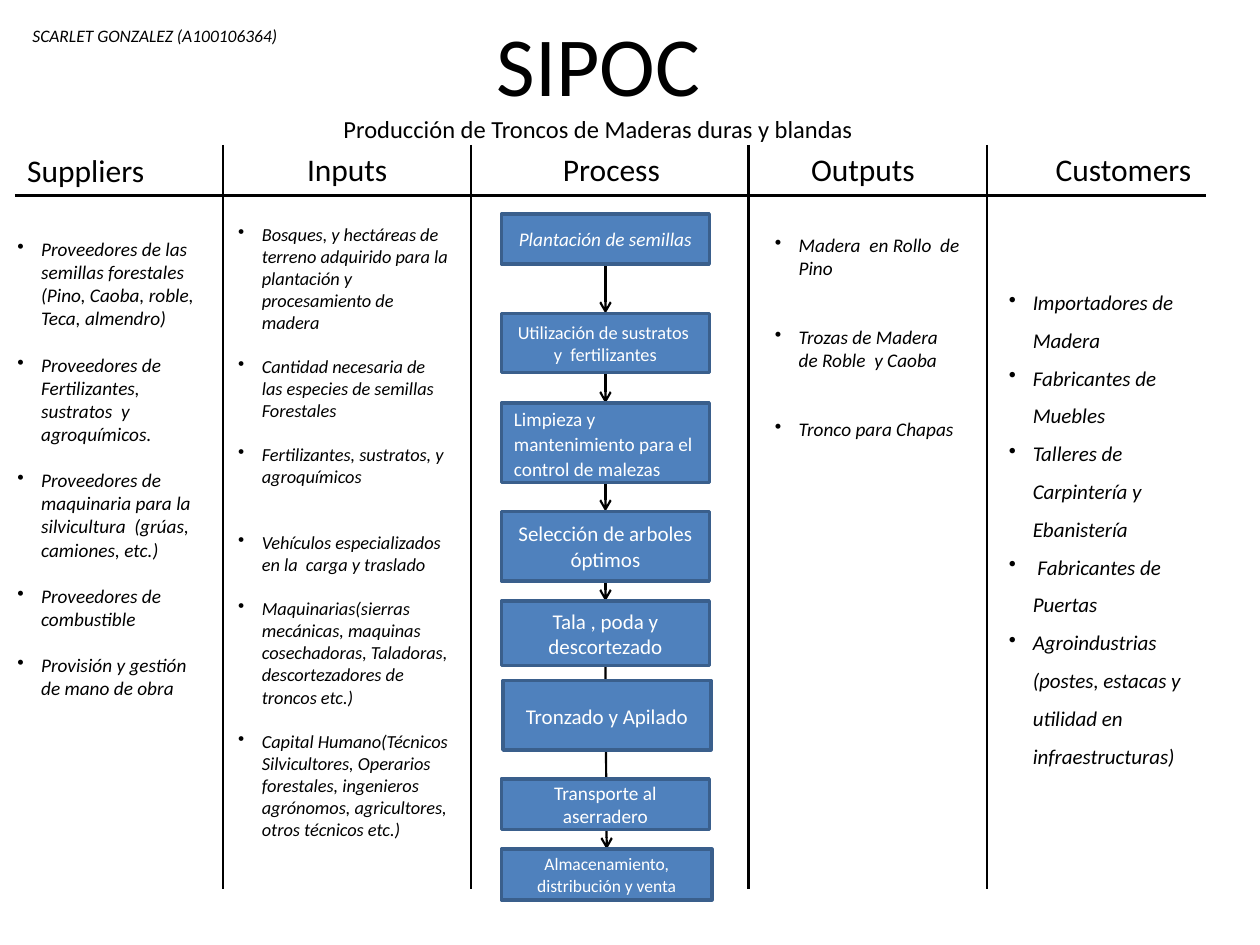
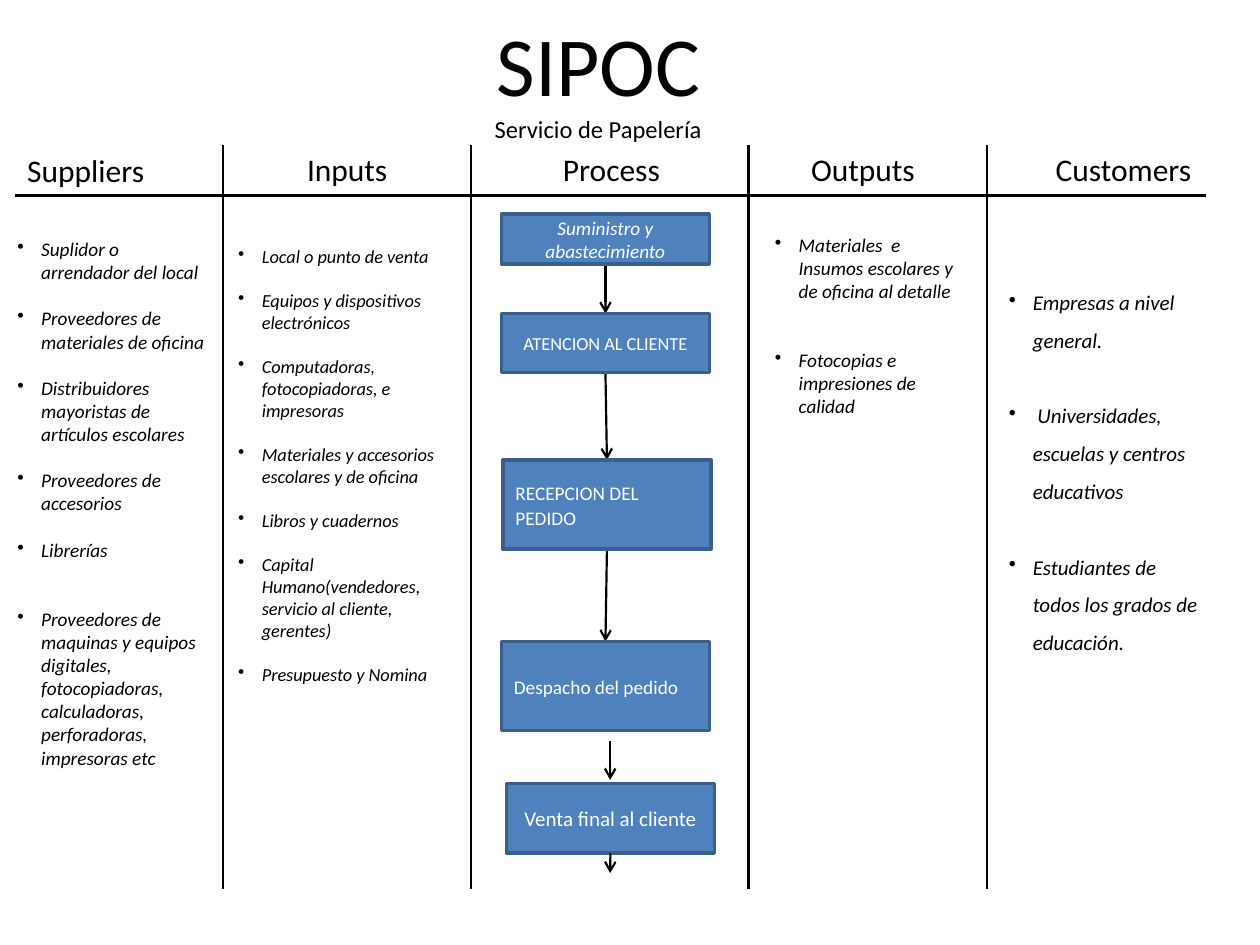
from pptx import Presentation
from pptx.dml.color import RGBColor as RGB
from pptx.enum.shapes import MSO_CONNECTOR as Conn, MSO_SHAPE as Shape
from pptx.enum.text import MSO_ANCHOR as Anchor, MSO_AUTO_SIZE as Fit, PP_ALIGN as Align
from pptx.oxml.ns import qn
from pptx.util import Cm, Pt
from lxml.etree import SubElement as Sub

FONT = "Calibri"
HUES = {"ink": "000000", "box": "4F81BD", "edge": "3A5F8C", "light": "FFFFFF"}
LEAD = 1.2  # line height as a share of the font size
MID = 12.06  # centre of the title
STEP = 10.11  # left edge of most process boxes
WIDE = 4.19  # width of most process boxes

# Grid shared by both slides
HEADS = [("Suppliers", 0.3, 2.92, 2.9), ("Inputs", 5.94, 2.9, 2.16),
         ("Process", 11.1, 2.9, 2.49), ("Outputs", 16.1, 2.9, 2.62),
         ("Customers", 21.03, 2.9, 3.28)]
RULES = [4.5, 9.5, 15.09, 19.89]

# Column: left, width, font size, line spacing
COLS = {"suppliers": (0.1, 4.39, 11, 1), "inputs": (4.55, 4.75, 10.5, 1),
        "outputs": (15.37, 4.24, 11, 1), "customers": (20.09, 4.39, 12, 1.5)}

# Lists: top, height, then (lines left free above, text)
WOOD = {
    "suppliers": (4.66, 11.07, [
        (0, "Proveedores de las semillas forestales (Pino, Caoba, roble, Teca, almendro)"),
        (1, "Proveedores de Fertilizantes, sustratos  y agroquímicos."),
        (1, "Proveedores de maquinaria para la silvicultura  (grúas, camiones, etc.)"),
        (1, "Proveedores de combustible"),
        (1, "Provisión y gestión de mano de obra")]),
    "inputs": (4.37, 14.5, [
        (0, "Bosques, y hectáreas de terreno adquirido para la plantación y "
            "procesamiento de madera"),
        (1, "Cantidad necesaria de las especies de semillas Forestales"),
        (1, "Fertilizantes, sustratos, y agroquímicos"),
        (2, "Vehículos especializados en la  carga y traslado"),
        (1, "Maquinarias(sierras mecánicas, maquinas cosechadoras, Taladoras, "
            "descortezadores de troncos etc.)"),
        (1, "Capital Humano(Técnicos Silvicultores, Operarios forestales, "
            "ingenieros agrónomos, agricultores, otros técnicos etc.)")]),
    "outputs": (4.57, 5.89, [
        (0, "Madera  en Rollo  de Pino"),
        (2, "Trozas de Madera de Roble  y Caoba"),
        (2, "Tronco para Chapas")]),
    "customers": (5.46, 11.73, [
        (0, "Importadores de Madera"),
        (0, "Fabricantes de Muebles"),
        (0, "Talleres de Carpintería y Ebanistería"),
        (0, " Fabricantes de Puertas"),
        (0, "Agroindustrias (postes, estacas y utilidad en infraestructuras)")]),
}
PAPER = {
    "suppliers": (4.66, 12.94, [
        (0, "Suplidor o arrendador del local"),
        (1, "Proveedores de materiales de oficina"),
        (1, "Distribuidores mayoristas de artículos escolares"),
        (1, "Proveedores de accesorios"),
        (1, "Librerías"),
        (2, "Proveedores de maquinas y equipos digitales, fotocopiadoras, "
            "calculadoras, perforadoras, impresoras etc")]),
    "inputs": (4.81, 11.04, [
        (0, "Local o punto de venta"),
        (1, "Equipos y dispositivos electrónicos"),
        (1, "Computadoras, fotocopiadoras, e impresoras"),
        (1, "Materiales y accesorios escolares y de oficina"),
        (1, "Libros y cuadernos"),
        (1, "Capital Humano(vendedores, servicio al cliente, gerentes)"),
        (1, "Presupuesto y Nomina")]),
    "outputs": (4.57, 8.26, [
        (0, "Materiales  e Insumos escolares y de oficina al detalle"),
        (2, "Fotocopias e impresiones de calidad")]),
    "customers": (5.46, 10.95, [
        (0, "Empresas a nivel general."),
        (1, " Universidades, escuelas y centros educativos"),
        (1, "Estudiantes de todos los grados de educación.")]),
}


def style(par, size, hue="ink", slant=False, align=Align.LEFT):
    par.alignment = align
    for run in par.runs:
        font = run.font
        font.name, font.size, font.italic = FONT, Pt(size), slant
        font.color.rgb = RGB.from_string(HUES[hue])


def add_text(slide, text, x, y, w, h, size, wrap=True, **look):
    frame = slide.shapes.add_textbox(Cm(x), Cm(y), Cm(w), Cm(h)).text_frame
    frame.word_wrap = wrap
    frame.text = text
    style(frame.paragraphs[0], size, **look)


def add_title(slide, topic, width):
    title = slide.shapes.title
    title.left, title.top = Cm(MID - width / 2), Cm(0.13)
    title.width, title.height = Cm(width), Cm(2.9)
    frame = title.text_frame
    frame.auto_size, frame.vertical_anchor = Fit.NONE, Anchor.TOP
    frame.text = "SIPOC\n" + topic
    for par, size in zip(frame.paragraphs, (48, 14)):
        style(par, size, align=Align.CENTER)


def add_line(slide, x1, y1, x2, y2, arrow=False):
    line = slide.shapes.add_connector(Conn.STRAIGHT, Cm(x1), Cm(y1), Cm(x2), Cm(y2))
    line.line.color.rgb = RGB.from_string(HUES["ink"])
    line.line.width = Pt(1.25)
    props = line.element.spPr
    if arrow:
        Sub(props.find(qn("a:ln")), qn("a:tailEnd"), type="arrow")
    Sub(props, qn("a:effectLst"))
    return line


def add_grid(slide):
    for text, x, y, w in HEADS:
        add_text(slide, text, x, y, w, 1.02, 18, wrap=False)
    add_line(slide, 0.3, 3.94, 24.31, 3.94)
    for x in RULES:
        add_line(slide, x, 2.92, x, 17.93)


def add_list(slide, name, top, height, items):
    x, width, size, space = COLS[name]
    box = slide.shapes.add_textbox(Cm(x), Cm(top), Cm(width), Cm(height))
    frame = box.text_frame
    frame.word_wrap = True
    frame.text = "\n".join(text for _, text in items)
    for par, (gap, _) in zip(frame.paragraphs, items):
        style(par, size, slant=True)
        par.line_spacing = float(space)
        par.space_before = Pt(gap * size * LEAD * space)
        props = par._p.get_or_add_pPr()
        props.set("marL", str(Cm(0.48)))
        props.set("indent", str(-Cm(0.48)))
        Sub(props, qn("a:buChar"), char="•")


def add_step(slide, text, y, h, size, x=STEP, w=WIDE, space=1.0, **look):
    box = slide.shapes.add_shape(Shape.FLOWCHART_PROCESS, Cm(x), Cm(y), Cm(w), Cm(h))
    box.shadow.inherit = False
    box.fill.solid()
    box.fill.fore_color.rgb = RGB.from_string(HUES["box"])
    box.line.color.rgb = RGB.from_string(HUES["edge"])
    box.line.width = Pt(2)
    frame = box.text_frame
    frame.word_wrap, frame.vertical_anchor = True, Anchor.MIDDLE
    frame.text = text
    par = frame.paragraphs[0]
    par.line_spacing = space
    style(par, size, "light", **{"align": Align.CENTER, **look})
    return box


def link(slide, start, end):
    """Arrow from one box to another, kept behind every box."""
    line = add_line(slide, 0, 0, 1, 1, arrow=True)
    line.begin_connect(start, 2)
    line.end_connect(end, 0)
    line.element.getparent().insert(2, line.element)


def add_sipoc(deck, topic, width, lists):
    slide = deck.slides.add_slide(deck.slide_layouts[5])
    add_title(slide, topic, width)
    add_grid(slide)
    for name, data in lists.items():
        add_list(slide, name, *data)
    return slide


def add_wood(deck):
    slide = add_sipoc(deck, "Producción de Troncos de Maderas duras y blandas", 10.97, WOOD)
    add_text(slide, "SCARLET GONZALEZ (A100106364)", 0.3, 0.38, 5.64, 0.69, 10,
             slant=True, align=Align.CENTER)
    # Process
    steps = [
        add_step(slide, "Plantación de semillas", 4.32, 1, 11, slant=True),
        add_step(slide, "Utilización de sustratos  y  fertilizantes", 6.32, 1.19, 10.5),
        add_step(slide, "Limpieza y mantenimiento para el control de malezas",
                 8.13, 1.6, 11, space=1.07, align=Align.LEFT),
        add_step(slide, "Selección de arboles óptimos", 10.31, 1.4, 12),
        add_step(slide, "Tala , poda y descortezado", 12.12, 1.3, 12),
        add_step(slide, "Almacenamiento, distribución y venta", 17.12, 1.02, 10, w=4.24),
    ]
    for start, end in zip(steps, steps[1:]):
        link(slide, start, end)
    # Steps lying on the last arrow
    add_step(slide, "Transporte al aserradero", 15.7, 1.02, 11)
    add_step(slide, "Tronzado y Apilado", 13.72, 1.4, 12, x=10.14, space=1.07)


def add_paper(deck):
    slide = add_sipoc(deck, "Servicio de Papelería", 5.94, PAPER)
    # Process
    left = {"space": 1.07, "align": Align.LEFT}
    steps = [
        add_step(slide, "Suministro y abastecimiento", 4.32, 1, 11, slant=True),
        add_step(slide, "ATENCION AL CLIENTE", 6.32, 1.19, 10.5),
        add_step(slide, "RECEPCION DEL PEDIDO", 9.27, 1.8, 11, x=10.14, **left),
        add_step(slide, "Despacho del pedido", 12.93, 1.8, 11, **left),
    ]
    for start, end in zip(steps, steps[1:]):
        link(slide, start, end)
    # Sale, with loose arrows above and below
    sale = add_step(slide, "Venta final al cliente", 15.8, 1.4, 12, x=10.21)
    add_line(slide, 12.3, 14.94, 12.3, 15.72, arrow=True)
    add_line(slide, 12.3, 17.2, 12.3, 17.6, arrow=True).begin_connect(sale, 2)


def main():
    deck = Presentation()
    deck.slide_width, deck.slide_height = Cm(25.4), Cm(19.05)
    add_wood(deck)
    add_paper(deck)
    deck.save("out.pptx")


if __name__ == "__main__":
    main()
